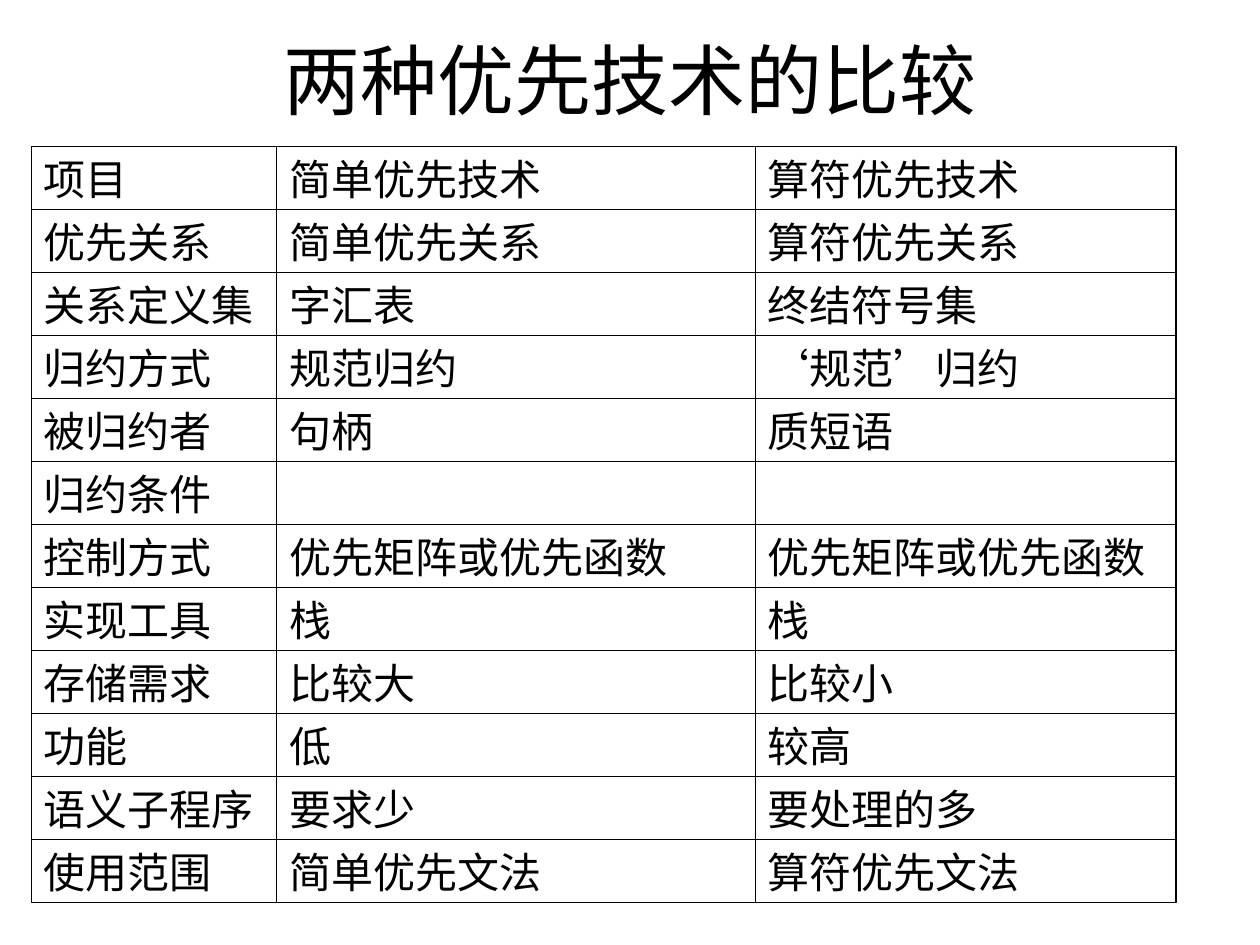
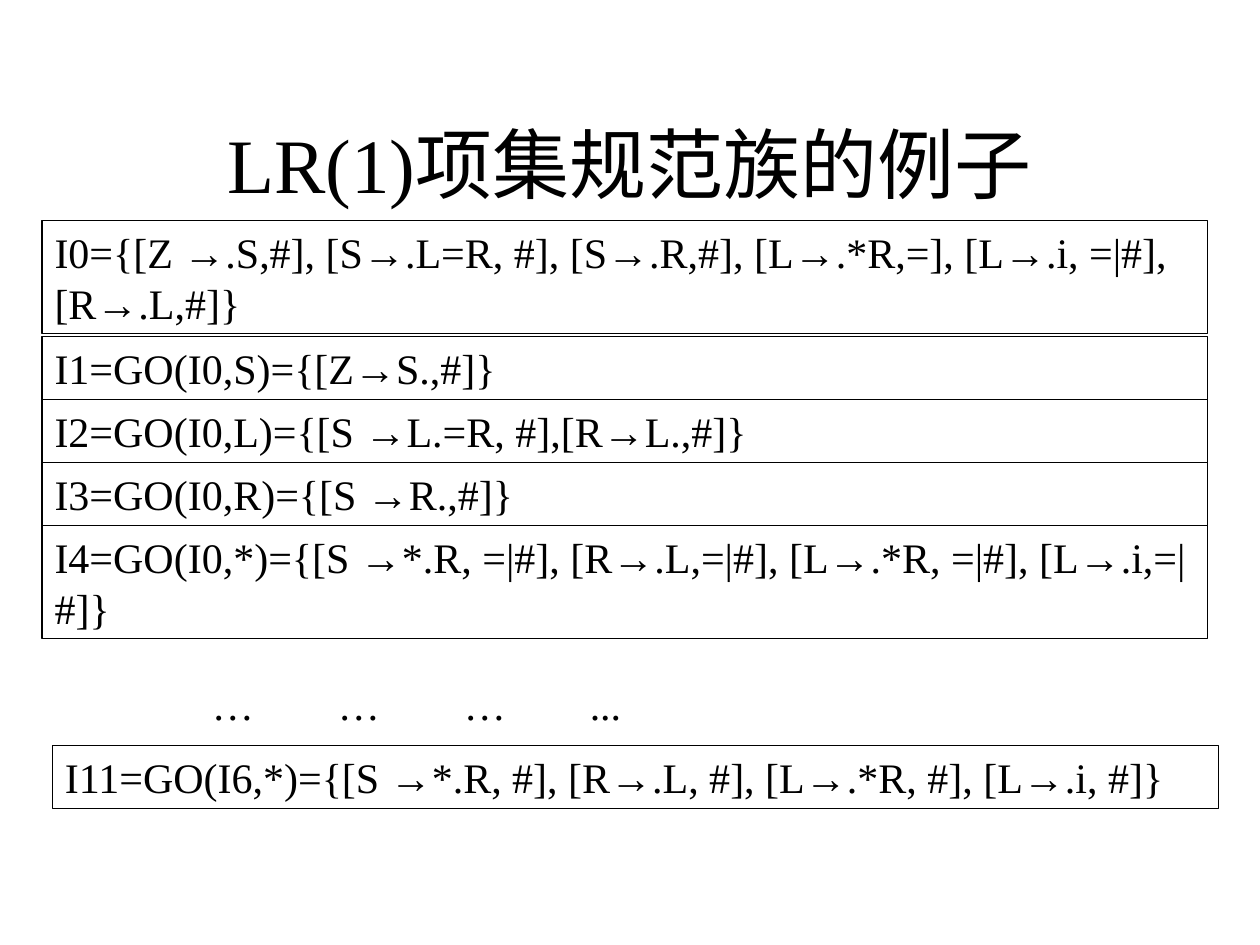
from lxml import etree
from pptx import Presentation
from pptx.dml.color import RGBColor
from pptx.enum.shapes import MSO_SHAPE as Shape
from pptx.enum.text import MSO_ANCHOR as Anchor, PP_ALIGN as Align
from pptx.oxml.ns import qn
from pptx.util import Cm, Pt

# Shared look
COLORS = {"ink": "000000", "paper": "FFFFFF"}
FONT = "Times New Roman"
TITLE_SIZE = 44
BODY_SIZE = 24
LINE_WIDTH = Pt(0.75)
ROW_HEIGHT = 1.27
TWO_LINE_HEIGHT = 2.29
INSET_X, INSET_Y = Cm(0.25), Cm(0.13)
TAB_STEP = 2.54

# Slide 1: one row per compared item
COMPARISON = [
    ("项目", "简单优先技术", "算符优先技术"),
    ("优先关系", "简单优先关系", "算符优先关系"),
    ("关系定义集", "字汇表", "终结符号集"),
    ("归约方式", "规范归约", "‘规范’归约"),
    ("被归约者", "句柄", "质短语"),
    ("归约条件", "", ""),
    ("控制方式", "优先矩阵或优先函数", "优先矩阵或优先函数"),
    ("实现工具", "栈", "栈"),
    ("存储需求", "比较大", "比较小"),
    ("功能", "低", "较高"),
    ("语义子程序", "要求少", "要处理的多"),
    ("使用范围", "简单优先文法", "算符优先文法"),
]
COLUMN_WIDTHS = (4.95, 9.65, 8.48)

# Slide 2: item sets, each with its box height
FIRST_SET = "I0={[Z →.S,#], [S→.L=R, #], [S→.R,#], [L→.*R,=], [L→.i, =|#], [R→.L,#]}"
GO_SETS = [
    ("I1=GO(I0,S)={[Z→S.,#]}", ROW_HEIGHT),
    ("I2=GO(I0,L)={[S →L.=R, #],[R→L.,#]}", ROW_HEIGHT),
    ("I3=GO(I0,R)={[S →R.,#]}", ROW_HEIGHT),
    ("I4=GO(I0,*)={[S →*.R, =|#], [R→.L,=|#], [L→.*R, =|#], [L→.i,=|#]}",
     TWO_LINE_HEIGHT),
]
LAST_SET = "I11=GO(I6,*)={[S →*.R, #], [R→.L, #], [L→.*R, #], [L→.i, #]}"
SET_LEFT, SET_WIDTH = 0.85, 23.5


def color(name):
    return RGBColor.from_string(COLORS[name])


def prepare_frame(frame, anchor=Anchor.TOP):
    frame.word_wrap = True
    frame.vertical_anchor = anchor
    frame.margin_left = frame.margin_right = INSET_X
    frame.margin_top = frame.margin_bottom = INSET_Y


def write(frame, text, size=BODY_SIZE, align=Align.LEFT):
    para = frame.paragraphs[0]
    para.text = text
    para.alignment = align
    para.font.name = FONT
    para.font.size = Pt(size)
    para.font.color.rgb = color("ink")


def add_page(deck):
    page = deck.slides.add_slide(deck.slide_layouts[6])
    page.background.fill.solid()
    page.background.fill.fore_color.rgb = color("paper")
    return page


def add_title(page, text, top, height):
    box = page.shapes.add_textbox(Cm(1.9), Cm(top), Cm(21.6), Cm(height))
    prepare_frame(box.text_frame, Anchor.MIDDLE)
    write(box.text_frame, text, TITLE_SIZE, Align.CENTER)


def add_framed_text(shapes, text, left, top, width, height=ROW_HEIGHT):
    box = shapes.add_shape(
        Shape.RECTANGLE, Cm(left), Cm(top), Cm(width), Cm(height))
    box.shadow.inherit = False
    box.fill.background()
    box.line.color.rgb = color("ink")
    box.line.width = LINE_WIDTH
    prepare_frame(box.text_frame)
    if text:
        write(box.text_frame, text)


def add_ellipsis_row(page, marks, left, top):
    box = page.shapes.add_textbox(Cm(left), Cm(top), Cm(15.44), Cm(ROW_HEIGHT))
    prepare_frame(box.text_frame)
    properties = box.text_frame.paragraphs[0]._p.get_or_add_pPr()
    tabs = etree.SubElement(properties, qn("a:tabLst"))
    for number in range(1, len(marks)):
        etree.SubElement(tabs, qn("a:tab"),
                         pos=str(Cm(TAB_STEP * number)), algn="l")
    write(box.text_frame, "\t".join(marks))


def add_comparison_grid(page, left, top):
    grid = page.shapes.add_group_shape()
    for row, texts in enumerate(COMPARISON):
        cell_left = left
        for text, width in zip(texts, COLUMN_WIDTHS):
            add_framed_text(grid.shapes, text, cell_left,
                            top + row * ROW_HEIGHT, width)
            cell_left += width


def build_comparison(deck):
    page = add_page(deck)
    add_title(page, "两种优先技术的比较", 0.42, 2.34)
    add_comparison_grid(page, 0.63, 2.96)


def build_item_sets(deck):
    page = add_page(deck)
    add_title(page, "LR(1)项集规范族的例子", 1.7, 3.18)
    add_framed_text(page.shapes, FIRST_SET, SET_LEFT, 4.44, SET_WIDTH,
                    TWO_LINE_HEIGHT)
    # The GO sets are stacked without gaps
    top = 6.78
    for text, height in GO_SETS:
        add_framed_text(page.shapes, text, SET_LEFT, top, SET_WIDTH, height)
        top += height
    add_ellipsis_row(page, ("…", "…", "…", "..."), 4.02, 13.55)
    add_framed_text(page.shapes, LAST_SET, 1.06, 15.03, SET_WIDTH)


def main():
    deck = Presentation()
    deck.slide_width, deck.slide_height = Cm(25.4), Cm(19.05)
    build_comparison(deck)
    build_item_sets(deck)
    deck.save("out.pptx")


if __name__ == "__main__":
    main()
